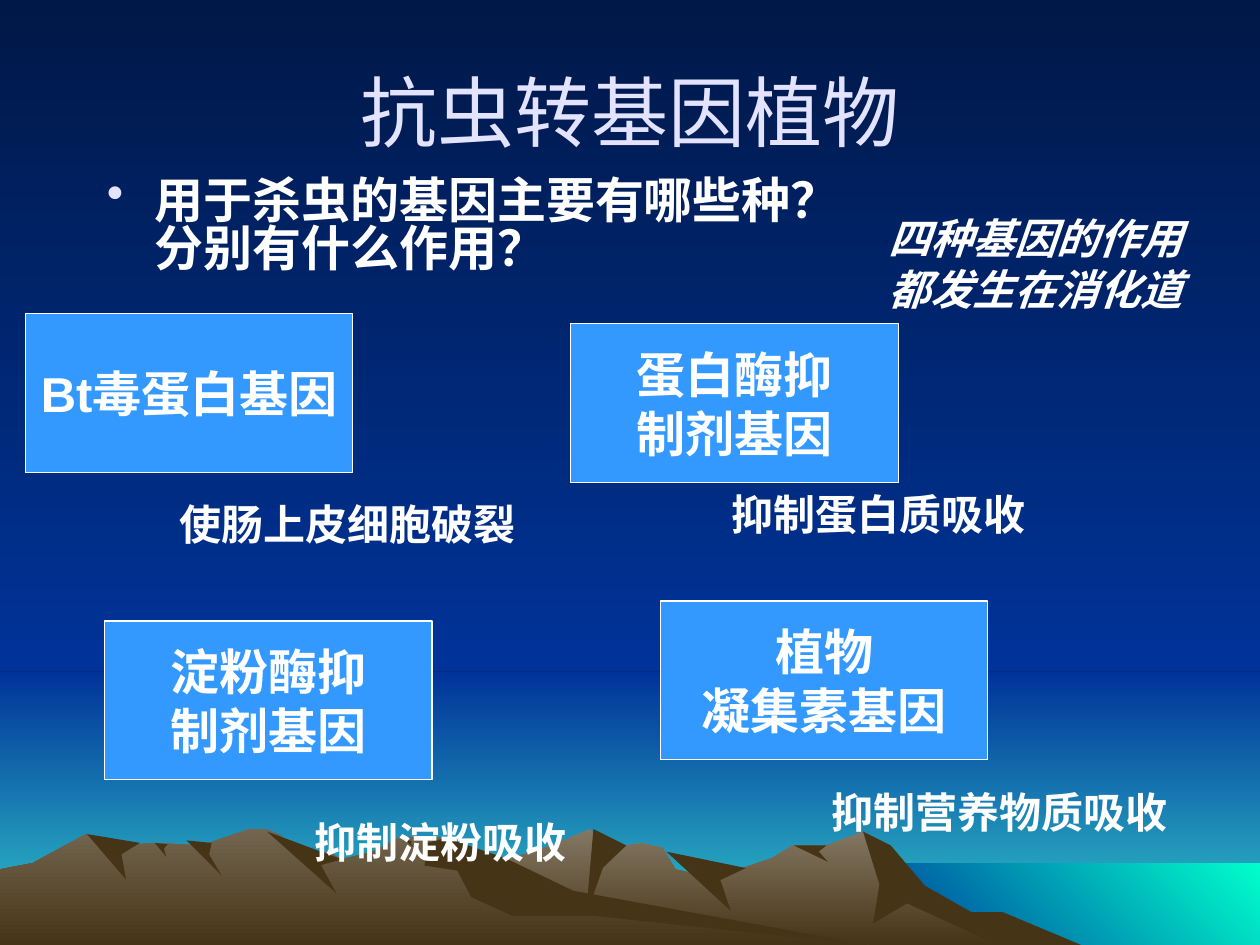
import dataclasses

import lxml.etree
import pptx
import pptx.dml.color
import pptx.enum.shapes
import pptx.enum.text
import pptx.oxml.ns
import pptx.util

Inches = pptx.util.Inches
Pt = pptx.util.Pt
PP_ALIGN = pptx.enum.text.PP_ALIGN
MSO_ANCHOR = pptx.enum.text.MSO_ANCHOR

COLORS = {
    "night": "001847", "blue": "003399", "horizon": "33CCCC", "sea": "00FFCC",
    "far_rock": "847864", "near_rock": "73654F", "shade": "463416",
    "box": "3399FF", "white": "FFFFFF", "title": "E3E3FF",
}

SLIDE_WIDTH, SLIDE_HEIGHT = 10, 7.5
SKY_HEIGHT = 5.33
SEA_LEFT, SEA_TOP = 6.83, 6.85
DOWNWARD, TO_UPPER_RIGHT = 270, 45
BOX_WIDTH, BOX_HEIGHT = 2.6, 1.26
LABEL_HEIGHT = 0.5
BULLET_INDENT = 0.38
NOTCH_DEPTH = 0.25


@dataclasses.dataclass
class Mountains:
    rock: str
    crest: list
    dark_slope: list
    gullies: list


@dataclasses.dataclass
class Gene:
    name: str
    box: tuple
    effect: str
    label: tuple
    label_width: float


FAR_MOUNTAINS = Mountains(
    rock="far_rock",
    crest=[(2.58, 7.5), (3.27, 7.09), (3.94, 6.85), (4.38, 6.71), (4.68, 6.58),
           (4.86, 6.73), (5.09, 6.69), (5.26, 6.73), (5.36, 6.9), (5.66, 6.97),
           (6.13, 6.81), (6.29, 6.71), (6.56, 6.71), (6.85, 6.6), (7.02, 6.71),
           (7.23, 6.98), (7.64, 7.23), (8.21, 7.5)],
    dark_slope=[(6.85, 6.6), (7.07, 6.71), (7.34, 7.03), (7.71, 7.24), (7.96, 7.24),
                (8.58, 7.5), (7.92, 7.5), (7.2, 7.17), (6.93, 7.33), (6.98, 7.02)],
    gullies=[((4.71, 6.58), (4.97, 6.71), (4.65, 7.27)),
             ((5.29, 6.76), (5.92, 6.89), (5.8, 7.23)),
             ((6.3, 6.71), (6.56, 6.71), (6.57, 6.84))],
)
NEAR_MOUNTAINS = Mountains(
    rock="near_rock",
    crest=[(0, 6.9), (0.26, 6.85), (0.68, 6.62), (0.94, 6.71), (1.23, 6.69),
           (1.6, 6.71), (1.97, 6.58), (2.12, 6.58), (2.23, 6.63), (2.36, 6.81),
           (2.6, 6.76), (2.71, 6.82), (2.96, 6.76), (3.18, 6.64), (3.54, 6.65),
           (4.32, 7.12), (6.9, 7.5)],
    dark_slope=[(3.39, 6.69), (3.54, 6.65), (4.01, 6.81), (4.55, 7.07), (6.9, 7.5),
                (4.72, 7.27), (4.07, 7.27), (3.74, 7.12), (3.63, 6.91), (3.37, 6.87)],
    gullies=[((0.69, 6.62), (1.11, 6.69), (1, 6.98)),
             ((1.23, 6.69), (1.33, 6.7), (1.32, 6.8)),
             ((1.48, 6.67), (1.68, 6.69), (1.76, 6.95)),
             ((2.12, 6.6), (2.71, 6.82), (2.67, 7.09)),
             ((3.18, 6.64), (3.27, 6.68), (3.3, 6.74))],
)

GENES = [
    Gene("Bt毒蛋白基因", (0.2, 2.49), "使肠上皮细胞破裂", (1.33, 3.91), 2.89),
    Gene("蛋白酶抑\n制剂基因", (4.53, 2.57), "抑制蛋白质吸收", (5.71, 3.83), 2.76),
    Gene("淀粉酶抑\n制剂基因", (0.83, 4.93), "抑制淀粉吸收", (2.4, 6.43), 2.28),
    Gene("植物\n凝集素基因", (5.24, 4.77), "抑制营养物质吸收", (6.5, 6.19), 3.03),
]


def color(name):
    return pptx.dml.color.RGBColor.from_string(COLORS[name])


def paint(fill, *names, angle=DOWNWARD):
    if len(names) == 1:
        fill.solid()
        fill.fore_color.rgb = color(names[0])
        return
    fill.gradient()
    fill.gradient_angle = angle
    for stop, name in zip(fill.gradient_stops, names):
        stop.color.rgb = color(name)


def finish_shape(shape, *names, angle=DOWNWARD):
    shape.shadow.inherit = False
    paint(shape.fill, *names, angle=angle)
    shape.line.fill.background()
    return shape


def add_rectangle(slide, left, top, width, height, *names, angle=DOWNWARD):
    shape = slide.shapes.add_shape(
        pptx.enum.shapes.MSO_SHAPE.RECTANGLE,
        Inches(left), Inches(top), Inches(width), Inches(height))
    return finish_shape(shape, *names, angle=angle)


def add_outline(slide, points, *names):
    start, *others = [(Inches(x), Inches(y)) for x, y in points]
    builder = slide.shapes.build_freeform(*start)
    builder.add_line_segments(others, close=True)
    finish_shape(builder.convert_to_shape(), *names)


def add_gully(slide, left, right, tip):
    notch = [(r + t) / 2 * (1 - NOTCH_DEPTH) + l * NOTCH_DEPTH
             for l, r, t in zip(left, right, tip)]
    add_outline(slide, [left, right, notch, tip], "shade")


def add_mountains(slide, mountains):
    first_x, last_x = mountains.crest[0][0], mountains.crest[-1][0]
    base = [(last_x, SLIDE_HEIGHT), (first_x, SLIDE_HEIGHT)]
    add_outline(slide, mountains.crest + base, mountains.rock, "shade")
    add_outline(slide, mountains.dark_slope, "shade")
    for gully in mountains.gullies:
        add_gully(slide, *gully)


def add_landscape(slide):
    paint(slide.background.fill, "night", "blue")
    add_rectangle(slide, 0, SKY_HEIGHT, SLIDE_WIDTH, SLIDE_HEIGHT - SKY_HEIGHT,
                  "blue", "horizon")
    add_rectangle(slide, 0, 0, SLIDE_WIDTH, SKY_HEIGHT, "night", "blue")
    add_rectangle(slide, SEA_LEFT, SEA_TOP, SLIDE_WIDTH - SEA_LEFT,
                  SLIDE_HEIGHT - SEA_TOP, "blue", "sea", angle=TO_UPPER_RIGHT)
    add_mountains(slide, FAR_MOUNTAINS)
    add_mountains(slide, NEAR_MOUNTAINS)


def add_bullet(paragraph, name):
    qn = pptx.oxml.ns.qn
    paragraph.line_spacing = 0.8
    properties = paragraph._p.get_or_add_pPr()
    properties.set("marL", str(Inches(BULLET_INDENT)))
    properties.set("indent", str(-Inches(BULLET_INDENT)))
    bullet_color = lxml.etree.SubElement(properties, qn("a:buClr"))
    lxml.etree.SubElement(bullet_color, qn("a:srgbClr"), val=COLORS[name])
    lxml.etree.SubElement(properties, qn("a:buChar"), char="•")


def write_text(shape, text, size=24, name="white", bold=True, italic=False,
               align=PP_ALIGN.LEFT, anchor=MSO_ANCHOR.TOP, wrap=True, bullet=None):
    frame = shape.text_frame
    frame.word_wrap = wrap
    frame.vertical_anchor = anchor
    frame.text = text
    for paragraph in frame.paragraphs:
        paragraph.alignment = align
        if bullet:
            add_bullet(paragraph, bullet)
        font = paragraph.font
        font.name = "Arial"
        font.size = Pt(size)
        font.bold = bold
        font.italic = italic
        font.color.rgb = color(name)


def add_label(slide, text, left, top, width, height, **text_format):
    shape = slide.shapes.add_textbox(
        Inches(left), Inches(top), Inches(width), Inches(height))
    write_text(shape, text, **text_format)


def add_gene(slide, gene):
    shape = add_rectangle(slide, *gene.box, BOX_WIDTH, BOX_HEIGHT, "box")
    shape.line.color.rgb = color("white")
    shape.line.width = Pt(0.75)
    write_text(shape, gene.name, size=28, align=PP_ALIGN.CENTER,
               anchor=MSO_ANCHOR.MIDDLE, wrap=False)
    add_label(slide, gene.effect, *gene.label, gene.label_width, LABEL_HEIGHT)


def main():
    presentation = pptx.Presentation()
    presentation.slide_width = Inches(SLIDE_WIDTH)
    presentation.slide_height = Inches(SLIDE_HEIGHT)
    slide = presentation.slides.add_slide(presentation.slide_layouts[6])
    add_landscape(slide)
    add_label(slide, "抗虫转基因植物", 0.5, 0.25, 9, 1.25, size=44, name="title",
              bold=False, align=PP_ALIGN.CENTER, anchor=MSO_ANCHOR.MIDDLE)
    add_label(slide, "用于杀虫的基因主要有哪些种？分别有什么作用？",
              0.75, 1.39, 6.14, 0.9, size=28, bullet="title")
    add_label(slide, "四种基因的作用都发生在消化道", 6.95, 1.64, 2.74, 0.9, italic=True)
    for gene in GENES:
        add_gene(slide, gene)
    presentation.save("out.pptx")


if __name__ == "__main__":
    main()
